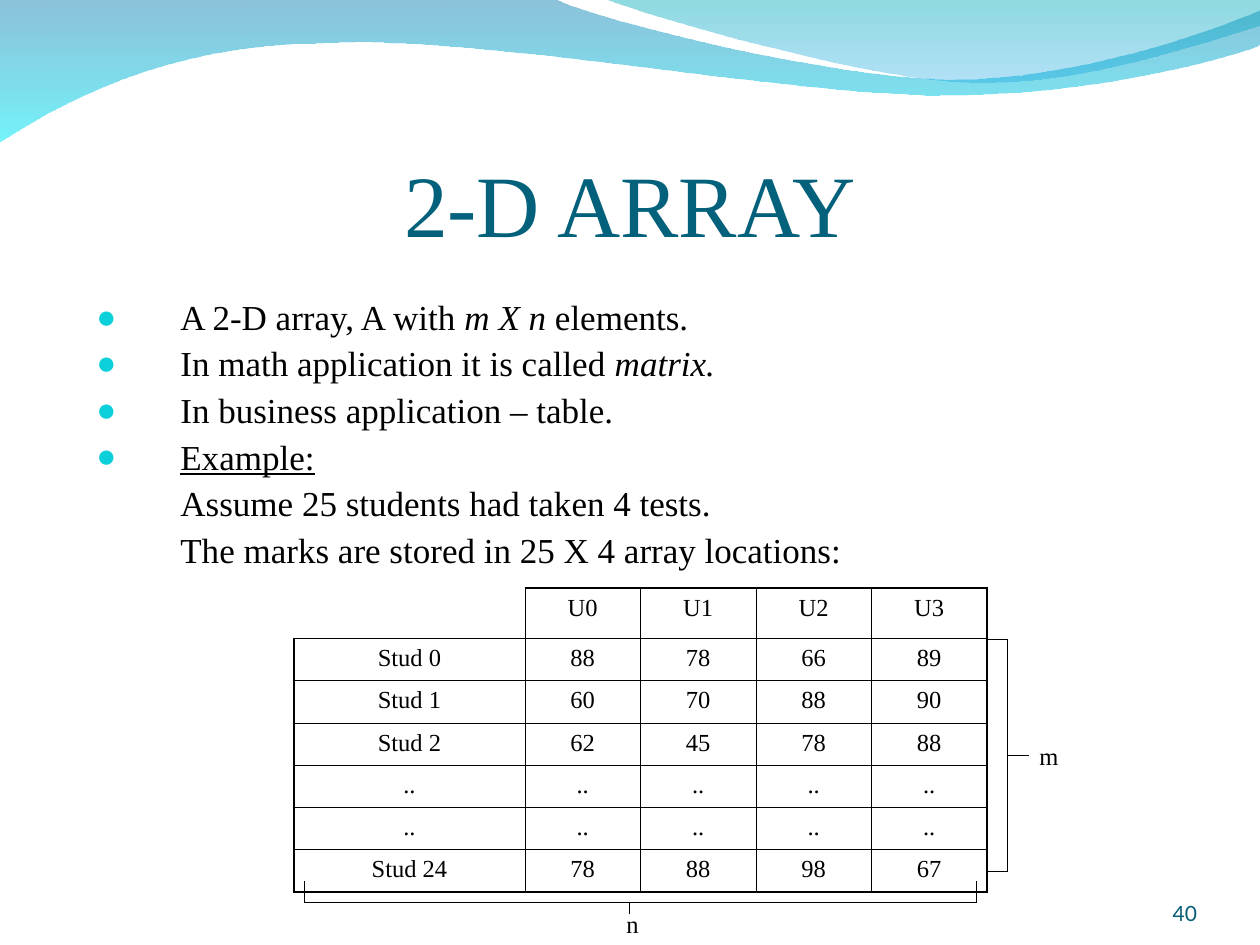
from lxml.etree import SubElement
from pptx import Presentation
from pptx.dml.color import RGBColor
from pptx.enum.shapes import MSO_CONNECTOR
from pptx.enum.text import MSO_ANCHOR as Anchor, MSO_AUTO_SIZE as AutoSize, PP_ALIGN as Align
from pptx.oxml.ns import qn
from pptx.util import Pt

PX = 914400 // 126
SERIF = "Times New Roman"
COLORS = {
    "ink": "000000",
    "title": "04617B",
    "number": "045C75",
    "bullet": "0BD0D9",
    "wave_top": "0079AF",
    "wave_bottom": "00EBF8",
    "crest_top": "00ADB6",
    "crest_bottom": "009BE5",
}
WAVE = [
    [(0, -1)],
    [(554, -1)],
    [(600, 21), (837, 79), (955, 79)],
    [(1075, 79), (1207, 33), (1260, 11)],
    [(1261, 45)],
    [(1239, 55), (1096, 96), (940, 95)],
    [(784, 95), (481, 35), (324, 43)],
    [(163, 44), (58, 105), (-1, 142)],
]
CREST = [
    [(604, -1)],
    [(642, 14), (859, 78), (969, 82)],
    [(1079, 87), (1211, 40), (1260, 26)],
    [(1260, 0)],
]
BULLETS = [
    (True, [("A 2-D array, A with ", ""), ("m X n", "italic"), (" elements.", "")]),
    (True, [("In math application it is called ", ""), ("matrix.", "italic")]),
    (True, [("In business application – table.", "")]),
    (True, [("Example:", "underline")]),
    (False, [("Assume 25 students had taken 4 tests.", "")]),
    (False, [("The marks are stored in 25 X 4 array locations:", "")]),
]
MARKS = [
    ["", "", "U0", "U1", "U2", "U3"],
    ["Stud 0", "", "88", "78", "66", "89"],
    ["Stud 1", "", "60", "70", "88", "90"],
    ["Stud 2", "", "62", "45", "78", "88"],
    ["..", "", "..", "..", "..", ".."],
    ["..", "", "..", "..", "..", ".."],
    ["Stud 24", "", "78", "88", "98", "67"],
]


def emu(*lengths):
    return [length * PX for length in lengths]


def color(name):
    return RGBColor.from_string(COLORS[name])


def style(span, size, name="ink", face=SERIF):
    span.font.size = Pt(size)
    span.font.name = face
    span.font.color.rgb = color(name)


def bend_edges(ribbon, steps):
    edges = iter(list(ribbon.element.spPr.iter(qn("a:lnTo"))))
    for step in steps[1:]:
        curve, *controls = [next(edges) for _ in step]
        if controls:
            curve.tag = qn("a:cubicBezTo")
        for control in controls:
            curve.append(control[0])
            control.getparent().remove(control)


def add_ribbon(page, steps, stops):
    start, *others = [point for step in steps for point in step]
    builder = page.shapes.build_freeform(*start, scale=PX)
    builder.add_line_segments(others, close=True)
    ribbon = builder.convert_to_shape()
    bend_edges(ribbon, steps)
    ribbon.shadow.inherit = False
    ribbon.line.fill.background()
    ribbon.fill.gradient()
    ribbon.fill.gradient_angle = 270
    for stop, (name, _) in zip(ribbon.fill.gradient_stops, stops):
        stop.color.rgb = color(name)
    tints = ribbon.element.spPr.iter(qn("a:srgbClr"))
    for tint, (_, opacity) in zip(tints, stops):
        SubElement(tint, qn("a:alpha"), val=str(opacity * 1000))


def add_label(page, box, text, size, name="ink", face=SERIF, align=Align.LEFT, insets=None):
    frame = page.shapes.add_textbox(*emu(*box)).text_frame
    frame.text = text
    if insets is None:
        frame.word_wrap = False
        frame.auto_size = AutoSize.SHAPE_TO_FIT_TEXT
    else:
        frame.word_wrap = True
        frame.vertical_anchor = Anchor.BOTTOM
        frame.margin_left, frame.margin_top, frame.margin_right, frame.margin_bottom = emu(*insets)
    para = frame.paragraphs[0]
    para.alignment = align
    style(para.runs[0], size, name, face)


def add_bullets(page, box, items):
    frame = page.shapes.add_textbox(*emu(*box)).text_frame
    frame.word_wrap = True
    for index, (marked, pieces) in enumerate(items):
        para = frame.add_paragraph() if index else frame.paragraphs[0]
        para.alignment = Align.JUSTIFY
        para.line_spacing = 0.9
        if index:
            para.space_before = Pt(5)
        props = para._p.get_or_add_pPr()
        props.set("marL", str(84 * PX))
        props.set("indent", str(-84 * PX if marked else 0))
        if marked:
            tint = SubElement(props, qn("a:buClr"))
            SubElement(tint, qn("a:srgbClr"), val=COLORS["bullet"])
            SubElement(props, qn("a:buSzPct"), val="95000")
            SubElement(props, qn("a:buFont"), typeface=SERIF)
            SubElement(props, qn("a:buChar"), char="●")
        else:
            SubElement(props, qn("a:buNone"))
        for text, accent in pieces:
            span = para.add_run()
            span.text = text
            style(span, 20)
            if accent:
                setattr(span.font, accent, True)


def set_borders(cell, widths):
    props = cell._tc.get_or_add_tcPr()
    for side, width in zip("LRTB", widths):
        line = SubElement(props, qn(f"a:ln{side}"), w=str(int(Pt(width))))
        if width:
            fill = SubElement(line, qn("a:solidFill"))
            SubElement(fill, qn("a:srgbClr"), val=COLORS["ink"])
        else:
            SubElement(line, qn("a:noFill"))
    cell.fill.background()


def add_marks_table(page, box, rows):
    thin, thick = 0.45, 1.08
    last_row, last_column = len(rows) - 1, len(rows[0]) - 1
    table = page.shapes.add_table(len(rows), len(rows[0]), *emu(*box)).table
    table.first_row = table.horz_banding = False
    for row, texts in enumerate(rows):
        for column, text in enumerate(texts):
            cell = table.cell(row, column)
            if row == 0 and column < 2:
                set_borders(cell, (0, thin if column else 0, 0, thin))
                continue
            left = thick if column == 0 else thin
            right = thick if column == last_column else thin
            top = thin if row else thick
            bottom = thick if row == last_row else thin
            set_borders(cell, (left, right, top, bottom))
            if text:
                cell.text = text
                para = cell.text_frame.paragraphs[0]
                para.alignment = Align.CENTER
                style(para.runs[0], 14)
        if row:
            table.cell(row, 0).merge(table.cell(row, 1))


def add_line(page, *ends):
    line = page.shapes.add_connector(MSO_CONNECTOR.STRAIGHT, *emu(*ends))
    line.line.color.rgb = color("ink")
    line.element.remove(line.element.find(qn("p:style")))
    SubElement(line.element.spPr, qn("a:effectLst"))


def add_bottom_bracket(page, box):
    left, top, width, height = box
    right, bottom, stem = left + width, top + height, left + 325
    add_line(page, left, top, left, bottom)
    add_line(page, right, top, right, bottom)
    add_line(page, left, bottom, right, bottom)
    add_line(page, stem, bottom, stem, bottom + 11)
    add_label(page, (stem - 16, bottom, 38, 43), "n", 14)


def add_side_bracket(page, box):
    left, top, width, height = box
    right, bottom, middle = left + width, top + height, top + height // 2
    add_line(page, left, top, right, top)
    add_line(page, left, bottom, right, bottom)
    add_line(page, right, top, right, bottom)
    add_line(page, right, middle, right + 21, middle)
    add_label(page, (right + 19, middle - 21, 44, 43), "m", 14)


def main():
    deck = Presentation()
    deck.slide_width, deck.slide_height = emu(1260, 945)
    page = deck.slides.add_slide(deck.slide_layouts[6])
    add_ribbon(page, WAVE, [("wave_top", 45), ("wave_bottom", 55)])
    add_ribbon(page, CREST, [("crest_top", 45), ("crest_bottom", 30)])
    add_label(page, (63, 97, 1134, 158), "2-D ARRAY", 50, "title", align=Align.CENTER, insets=(0, 6, 0, 0))
    add_bullets(page, (84, 294, 1144, 567), BULLETS)
    add_label(page, (1092, 876, 105, 50), "40", 12, "number", "Lato", Align.RIGHT, (0, 0, 0, 0))
    add_marks_table(page, (294, 588, 693, 296), MARKS)
    add_bottom_bracket(page, (305, 882, 672, 21))
    add_side_bracket(page, (987, 640, 21, 232))
    deck.save("out.pptx")


if __name__ == "__main__":
    main()
